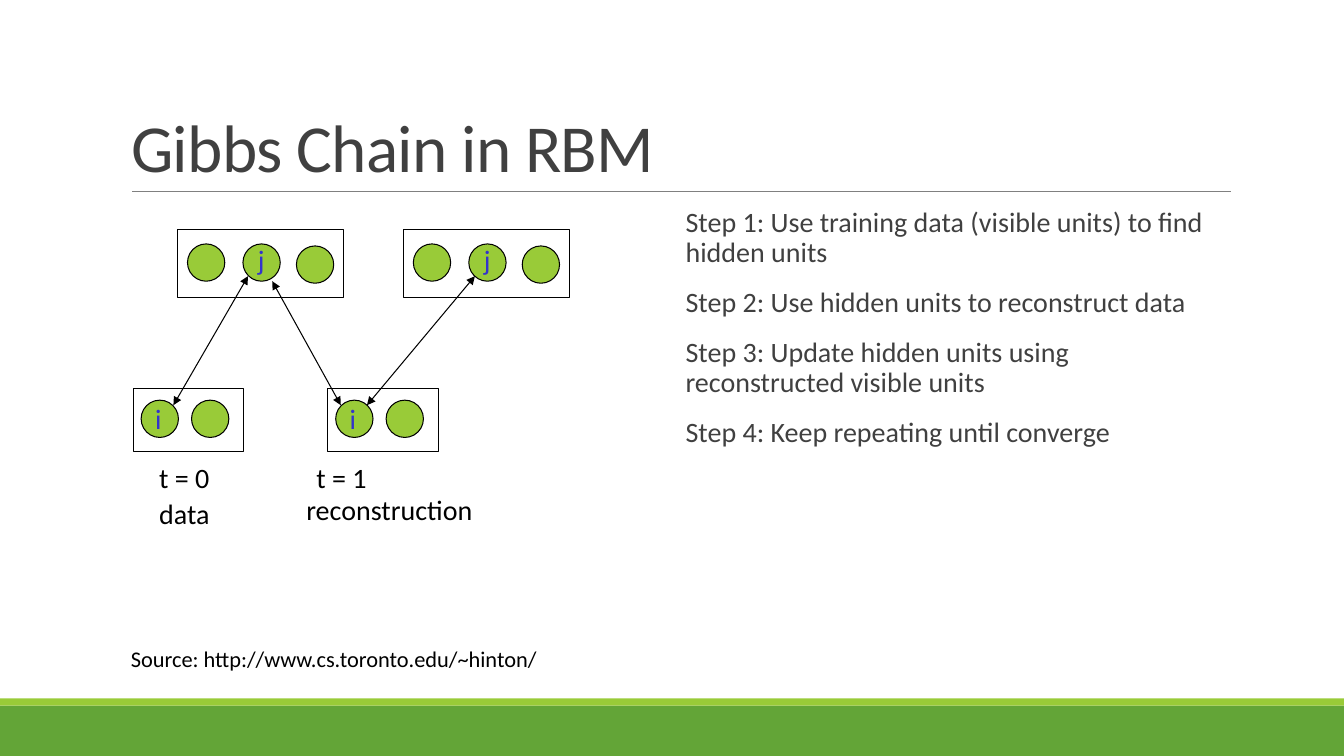
from pptx import Presentation
from pptx.dml.color import RGBColor
from pptx.enum.shapes import MSO_CONNECTOR as Conn, MSO_SHAPE as Kind
from pptx.enum.text import MSO_ANCHOR as Anchor, MSO_AUTO_SIZE as Fit, PP_ALIGN as Align
from pptx.oxml.ns import qn
from pptx.util import Inches, Pt
from lxml.etree import SubElement

FONT = "Calibri"
COLORS = {
    "white": "FFFFFF", "black": "000000", "grey": "404040", "rule": "808080",
    "band": "63A537", "lime": "99CB38", "blue": "3333CC",
}
STEPS = [
    "Step 1: Use training data (visible units) to find hidden units",
    "Step 2: Use hidden units to reconstruct data",
    "Step 3: Update hidden units using reconstructed visible units",
    "Step 4: Keep repeating until converge",
]
UNIT = 0.37
HIDDEN = [1.76, 4]
VISIBLE = [1.32, 3.25]
LINKS = [
    (1.72, 4.02, 2.46, 2.74),
    (2.7, 2.79, 3.38, 4.02),
    (3.64, 4.02, 4.71, 2.74),
]


def rgb(name):
    return RGBColor.from_string(COLORS[name])


def add_box(slide, kind, x, y, w, h, fill, line=None):
    shape = slide.shapes.add_shape(kind, Inches(x), Inches(y), Inches(w), Inches(h))
    shape.shadow.inherit = False
    shape.fill.solid()
    shape.fill.fore_color.rgb = rgb(fill)
    if line:
        shape.line.color.rgb = rgb(line)
        shape.line.width = Pt(0.75)
    else:
        shape.line.fill.background()


def add_line(slide, x1, y1, x2, y2, color="black", width=0.75, arrows=True):
    line = slide.shapes.add_connector(
        Conn.STRAIGHT, Inches(x1), Inches(y1), Inches(x2), Inches(y2))
    line.line.color.rgb = rgb(color)
    line.line.width = Pt(width)
    if arrows:
        ln = line.line._get_or_add_ln()
        for end in ("a:headEnd", "a:tailEnd"):
            SubElement(ln, qn(end), type="triangle")
    SubElement(line._element.spPr, qn("a:effectLst"))


def set_text(frame, *texts, size=20, color="black", lead=None, before=0, after=0, tab=None):
    """Fill a text frame with one paragraph for each text."""
    frame.word_wrap = True
    for n, text in enumerate(texts):
        para = frame.add_paragraph() if n else frame.paragraphs[0]
        para.text = text
        para.alignment = Align.LEFT
        para.space_before = Pt(before if n else 0)
        para.space_after = Pt(after)
        if lead:
            para.line_spacing = lead
        if tab:
            tabs = SubElement(para._p.get_or_add_pPr(), qn("a:tabLst"))
            SubElement(tabs, qn("a:tab"), pos=str(Inches(tab)), algn="l")
        para.font.name = FONT
        para.font.size = Pt(size)
        para.font.color.rgb = rgb(color)


def add_text(slide, x, y, w, h, *texts, **form):
    box = slide.shapes.add_textbox(Inches(x), Inches(y), Inches(w), Inches(h))
    set_text(box.text_frame, *texts, **form)
    return box.text_frame


def add_title(slide, text):
    title = slide.shapes.title
    title.left, title.top = Inches(1.2), Inches(0.31)
    title.width, title.height = Inches(11), Inches(1.59)
    frame = title.text_frame
    frame.auto_size = Fit.NONE
    frame.vertical_anchor = Anchor.BOTTOM
    set_text(frame, text, size=48, color="grey", lead=0.85)
    frame.paragraphs[0].runs[0]._r.get_or_add_rPr().set("spc", "-50")


def add_layer(slide, x, y, w, h, units):
    """Draw a framed row of units, given as offsets from the frame."""
    add_box(slide, Kind.RECTANGLE, x, y, w, h, "white", "black")
    for dx, dy in units:
        add_box(slide, Kind.OVAL, x + dx, y + dy, UNIT, UNIT, "lime", "black")


def add_chain(slide):
    for x in VISIBLE:
        add_layer(slide, x, 3.85, 1.1, 0.63, [(0.08, 0.12), (0.58, 0.12)])
        add_text(slide, x + 0.12, 3.93, 0.67, 0.43, "i", color="blue")
    for x in HIDDEN:
        add_layer(slide, x, 2.28, 1.65, 0.67, [(0.1, 0.14), (0.65, 0.14), (1.18, 0.16)])
        add_text(slide, x + 0.7, 2.36, 0.47, 0.43, "j", color="blue")
    for link in LINKS:
        add_line(slide, *link)
    add_text(slide, 1.48, 4.52, 3.11, 0.43, "t = 0\tt = 1", tab=1.56)
    add_text(slide, 2.94, 4.84, 2.24, 0.43, "reconstruction")
    add_text(slide, 1.48, 4.88, 0.79, 0.43, "data")


def main():
    deck = Presentation()
    deck.slide_width, deck.slide_height = Inches(13.33), Inches(7.5)
    slide = deck.slides.add_slide(deck.slide_layouts[5])
    add_box(slide, Kind.RECTANGLE, 0, 7, 13.33, 0.5, "band")
    add_box(slide, Kind.RECTANGLE, 0, 6.93, 13.33, 0.07, "lime")
    add_line(slide, 1.31, 1.9, 12.21, 1.9, color="rule", width=0.5, arrows=False)
    add_title(slide, "Gibbs Chain in RBM")
    steps = add_text(slide, 6.8, 2.02, 5.4, 4.4, *STEPS,
                     color="grey", lead=0.9, before=12, after=2)
    steps.margin_left = steps.margin_right = 0
    add_chain(slide)
    add_text(slide, 1.2, 6.35, 8.78, 0.37,
             "Source: http://www.cs.toronto.edu/~hinton/", size=16)
    deck.save("out.pptx")


if __name__ == "__main__":
    main()
